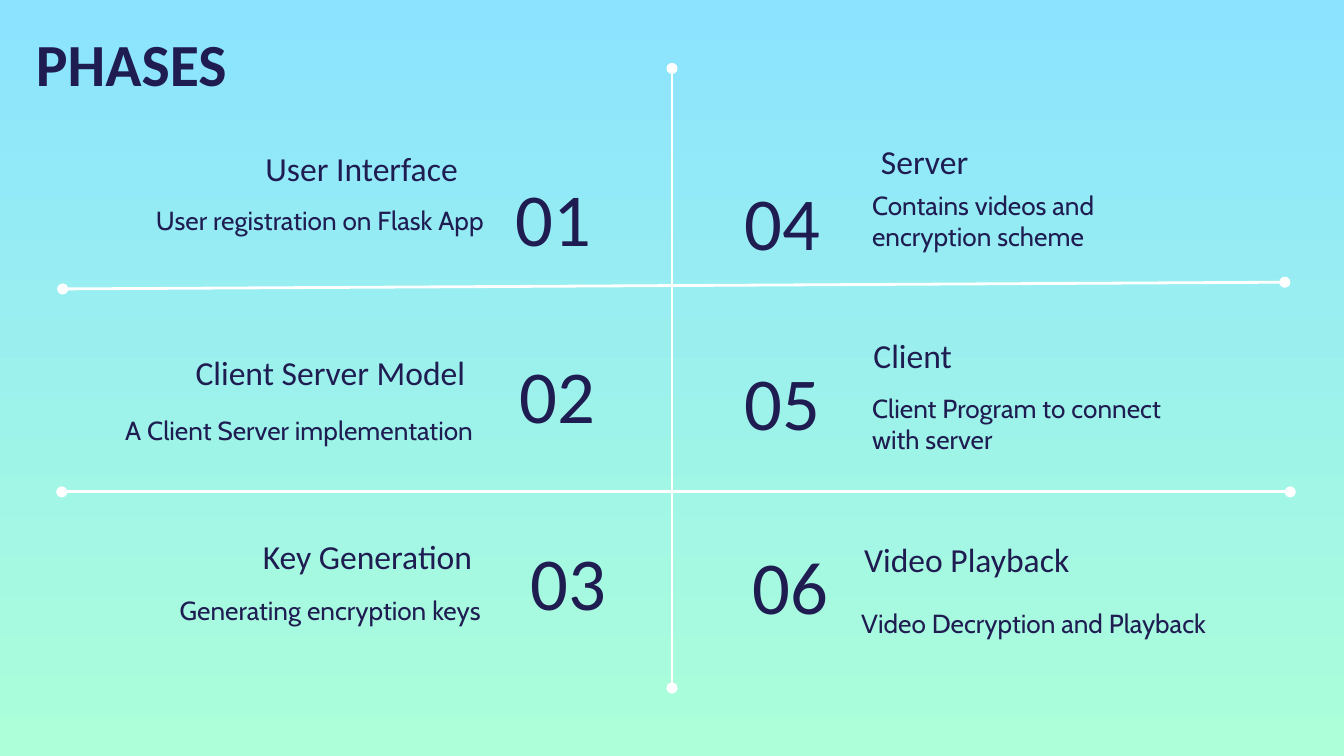
from dataclasses import dataclass

from lxml.etree import SubElement
from pptx import Presentation
from pptx.dml.color import RGBColor
from pptx.enum.shapes import MSO_CONNECTOR
from pptx.enum.text import MSO_ANCHOR as Anchor, PP_ALIGN as Align
from pptx.oxml.ns import qn
from pptx.util import Pt


@dataclass(frozen=True)
class Theme:
    ink: RGBColor = RGBColor(0x1F, 0x1C, 0x51)
    rule: RGBColor = RGBColor(0xFF, 0xFF, 0xFF)
    sky: RGBColor = RGBColor(0x8B, 0xE3, 0xFF)
    mint: RGBColor = RGBColor(0xAC, 0xFF, 0xD9)
    head_font: str = "Calibri"
    body_font: str = "Cabin"
    heading: int = 32
    number: int = 40
    name: int = 18
    detail: int = 14


theme = Theme()
deck = Presentation()
deck.slide_width, deck.slide_height = Pt(720), Pt(405)
slide = deck.slides.add_slide(deck.slide_layouts[6])


def add_text(text, box, size, font, align, anchor, inset=7.2, bold=False):
    frame = slide.shapes.add_textbox(*map(Pt, box)).text_frame
    frame.word_wrap = True
    frame.vertical_anchor = anchor
    frame.margin_left = frame.margin_right = Pt(7.2)
    frame.margin_top = frame.margin_bottom = Pt(inset)
    paragraph = frame.paragraphs[0]
    paragraph.text = text
    paragraph.alignment = align
    paragraph.font.name = font
    paragraph.font.size = Pt(size)
    paragraph.font.bold = bold
    paragraph.font.color.rgb = theme.ink


# Background: sky at the top, mint at the bottom
backdrop = slide.background.fill
backdrop.gradient()
backdrop.gradient_angle = 270
for stop, color, position in zip(backdrop.gradient_stops, (theme.sky, theme.mint), (0, 1)):
    stop.color.rgb = color
    stop.position = position

# Dividers with round ends
dividers = [
    (360, 36.7, 360, 368.6),
    (33.6, 154.8, 688.3, 151.2),
    (33.1, 263.5, 691.2, 263.5),
]
for ends in dividers:
    divider = slide.shapes.add_connector(MSO_CONNECTOR.STRAIGHT, *map(Pt, ends))
    divider.line.color.rgb = theme.rule
    divider.line.width = Pt(1.5)
    for end in ("a:headEnd", "a:tailEnd"):
        SubElement(divider.line._ln, qn(end), type="oval")
    SubElement(divider._element.spPr, qn("a:effectLst"))

# Heading
add_text("PHASES", (12.2, 10.8, 152, 46), theme.heading, theme.head_font,
         Align.LEFT, Anchor.TOP, inset=3.6, bold=True)

# Phases: name and its box, detail and its box, box of the number
phases = [
    ("User Interface ", (121, 72, 135.4, 36),
     "User registration on Flask App", (49.7, 102.2, 216.7, 31.7),
     (269.3, 85, 93.6, 61.9)),
    ("Client Server Model", (81.4, 181.4, 175, 36),
     "A Client Server implementation", (33.1, 214.6, 227.5, 36.7),
     (271.4, 180, 64.1, 61.9)),
    ("Key Generation", (117.4, 280.1, 142.6, 36),
     "Generating encryption keys ", (67, 311, 200.9, 39.6),
     (277.2, 280.1, 61.9, 61.9)),
    (" Server", (460.8, 68.4, 72, 36),
     "Contains videos and encryption scheme", (460.1, 94.3, 154.8, 51.8),
     (352.8, 87.1, 93.6, 61.9)),
    ("Client", (460.8, 172.1, 80.6, 36),
     "Client Program to connect with server", (460.1, 203, 181.4, 49.7),
     (371.5, 183.6, 74.9, 61.9)),
    ("Video Playback", (455.8, 283.7, 140.4, 33.8),
     "Video Decryption and Playback", (454.3, 318.2, 227.5, 29.5),
     (383, 280.1, 67.7, 66.2)),
]
for number, (name, name_box, detail, detail_box, number_box) in enumerate(phases, 1):
    # Words face the number: right-aligned in the left column, left-aligned in the right
    if number <= 3:
        words_align, number_align = Align.RIGHT, Align.LEFT
    else:
        words_align, number_align = Align.LEFT, Align.RIGHT
    add_text(f"{number:02}", number_box, theme.number, theme.head_font,
             number_align, Anchor.MIDDLE)
    add_text(name, name_box, theme.name, theme.head_font, words_align, Anchor.BOTTOM)
    add_text(detail, detail_box, theme.detail, theme.body_font, words_align, Anchor.TOP)

deck.save("out.pptx")
